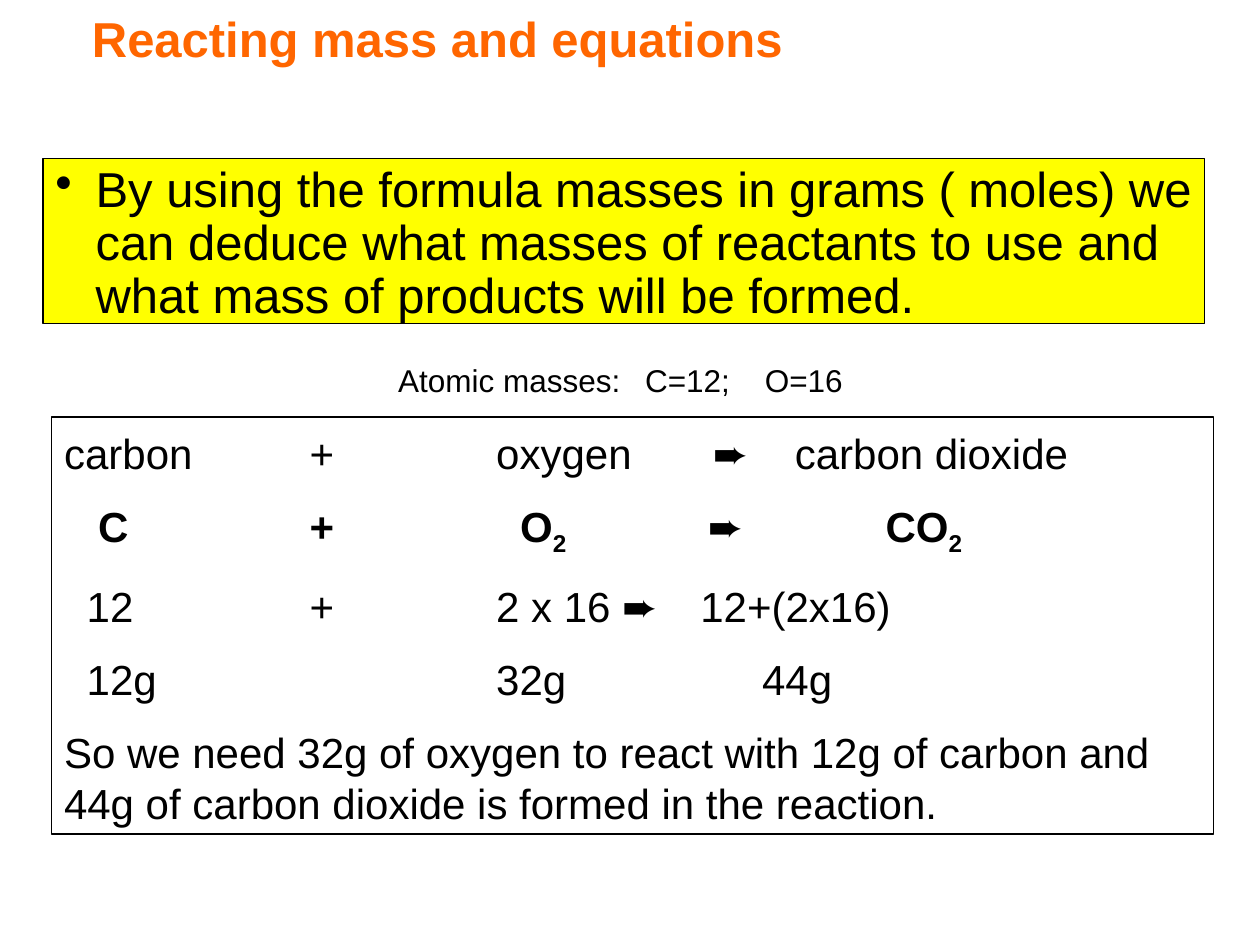
import pptx
import pptx.dml.color
import pptx.enum.shapes
import pptx.enum.text
import pptx.oxml
import pptx.oxml.ns
import pptx.util

Inches, Pt = pptx.util.Inches, pptx.util.Pt
RGBColor = pptx.dml.color.RGBColor

BLACK = RGBColor(0x00, 0x00, 0x00)
WHITE = RGBColor(0xFF, 0xFF, 0xFF)
YELLOW = RGBColor(0xFF, 0xFF, 0x00)
ORANGE = RGBColor(0xFF, 0x66, 0x00)

TITLE = "Reacting mass and equations"
STATEMENT = ("By using the formula masses in grams ( moles) we can deduce what masses "
             "of reactants to use and what mass of products will be formed.")
# Each entry: tab position in inches, text, subscript
ATOMIC_MASSES = [(0, "Atomic masses:", ""), (1.96, "C=12;", ""), (2.91, "O=16", "")]
PLUS, REACTANT = 1.95, 3.43
EQUATION_ROWS = [
    ([(0, "carbon", ""), (PLUS, "+", ""), (REACTANT, "oxygen", ""),
      (5.15, "➨", ""), (5.8, "carbon dioxide", "")], False),
    ([(0.27, "C", ""), (PLUS, "+", ""), (3.62, "O", "2"),
      (5.11, "➨", ""), (6.52, "CO", "2")], True),
    ([(0.18, "12", ""), (PLUS, "+", ""), (REACTANT, "2 x 16", ""),
      (4.43, "➨", ""), (5.05, "12+(2x16)", "")], False),
    ([(0.18, "12g", ""), (REACTANT, "32g", ""), (5.54, "44g", "")], False),
    ([(0, "So we need 32g of oxygen to react with 12g of carbon and 44g of carbon "
          "dioxide is formed in the reaction.", "")], False),
]


def add_element(parent, tag, **attributes):
    element = pptx.oxml.parse_xml(f"<a:{tag} {pptx.oxml.ns.nsdecls('a')}/>")
    for name, value in attributes.items():
        element.set(name, str(value))
    parent.append(element)
    return element


def style_frame(shape, anchor=pptx.enum.text.MSO_ANCHOR.TOP):
    frame = shape.text_frame
    frame.word_wrap = True
    frame.vertical_anchor = anchor
    return frame


def add_panel(slide, left, top, width, height, fill):
    panel = slide.shapes.add_shape(pptx.enum.shapes.MSO_SHAPE.RECTANGLE, Inches(left),
                                   Inches(top), Inches(width), Inches(height))
    panel.shadow.inherit = False
    panel.fill.solid()
    panel.fill.fore_color.rgb = fill
    panel.line.color.rgb = BLACK
    panel.line.width = Pt(0.75)
    return style_frame(panel)


def add_run(paragraph, text, size, color=BLACK, bold=False, subscript=False):
    run = paragraph.add_run()
    run.text = text
    run.font.name = "Arial"
    run.font.size = Pt(size)
    run.font.bold = bold
    run.font.color.rgb = color
    if subscript:
        run.font._element.set("baseline", "-25000")


def add_tabbed_row(paragraph, cells, size, bold=False):
    """Set each cell at its own tab stop."""
    paragraph.alignment = pptx.enum.text.PP_ALIGN.LEFT
    stops = [position for position, _, _ in cells if position]
    if stops:
        tabs = add_element(paragraph._p.get_or_add_pPr(), "tabLst")
        for position in stops:
            add_element(tabs, "tab", pos=Inches(position), algn="l")
    for position, text, subscript in cells:
        add_run(paragraph, "\t" + text if position else text, size, bold=bold)
        if subscript:
            add_run(paragraph, subscript, size, bold=bold, subscript=True)


def main():
    presentation = pptx.Presentation()
    presentation.slide_width, presentation.slide_height = Inches(10), Inches(7.5)
    slide = presentation.slides.add_slide(presentation.slide_layouts[6])

    statement = add_panel(slide, 0.34, 1.26, 9.22, 1.31, YELLOW).paragraphs[0]
    statement.alignment = pptx.enum.text.PP_ALIGN.LEFT
    statement.line_spacing = 0.9
    properties = statement._p.get_or_add_pPr()
    properties.set("marL", str(Inches(0.32)))
    properties.set("indent", str(Inches(-0.32)))
    add_element(properties, "buChar", char="•")
    add_run(statement, STATEMENT, 28)

    equations = add_panel(slide, 0.41, 3.31, 9.22, 3.31, WHITE)
    equations.margin_top = Inches(0.08)
    for index, (cells, bold) in enumerate(EQUATION_ROWS):
        paragraph = equations.add_paragraph() if index else equations.paragraphs[0]
        if index:
            paragraph.space_before = Pt(13)
        add_tabbed_row(paragraph, cells, 24, bold)

    masses = style_frame(slide.shapes.add_textbox(Inches(0.32), Inches(2.82),
                                                  Inches(9.22), Inches(0.4)))
    masses.margin_left = Inches(2.84)
    add_tabbed_row(masses.paragraphs[0], ATOMIC_MASSES, 18)

    title = style_frame(slide.shapes.add_textbox(Inches(0), Inches(0.02), Inches(8.54),
                                                 Inches(0.57)),
                        pptx.enum.text.MSO_ANCHOR.MIDDLE)
    title.margin_left = Inches(0.73)
    add_run(title.paragraphs[0], TITLE, 28, ORANGE, bold=True)

    presentation.save("out.pptx")


if __name__ == "__main__":
    main()
